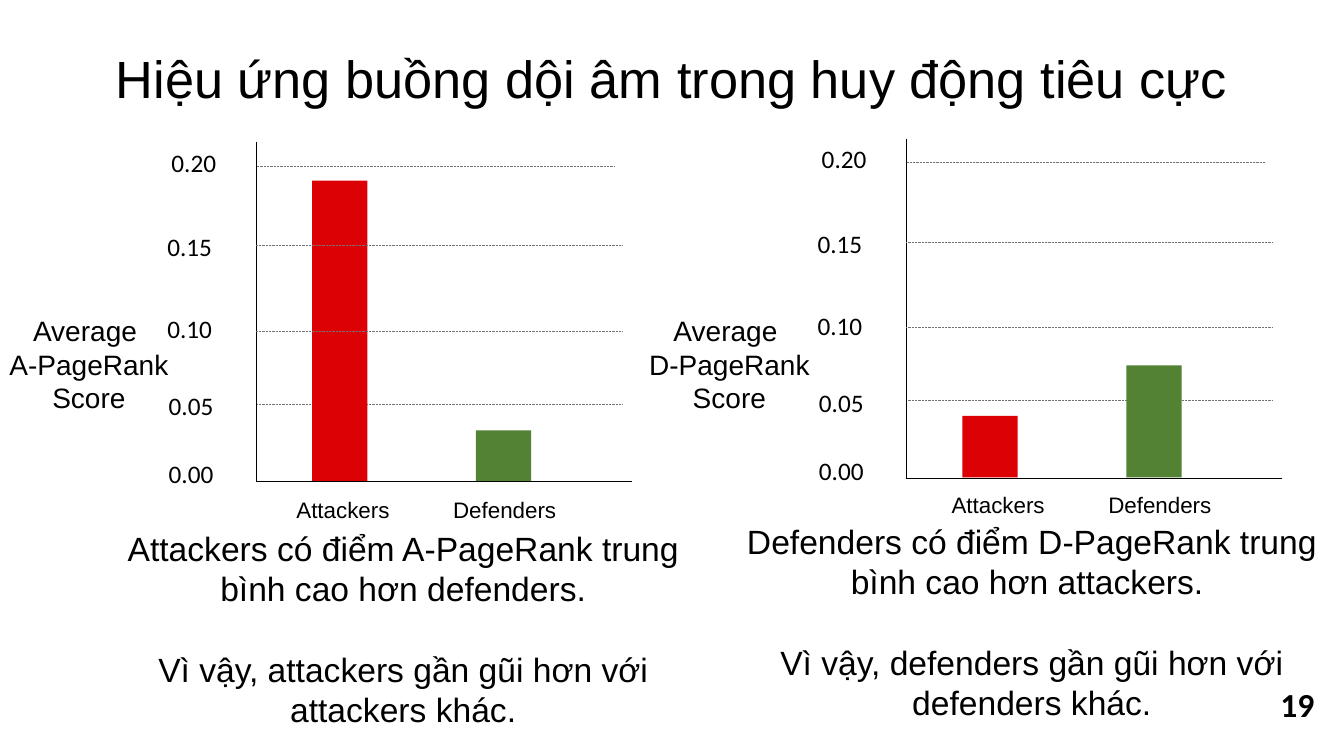
from lxml.etree import SubElement
from pptx import Presentation
from pptx.dml.color import RGBColor as Color
from pptx.enum.dml import MSO_LINE as Dash
from pptx.enum.shapes import MSO_CONNECTOR as Connector, MSO_SHAPE as Shape
from pptx.enum.text import MSO_ANCHOR as Anchor, PP_ALIGN as Align
from pptx.oxml.ns import qn
from pptx.util import Pt

COLORS = {"text": "000000", "grid": "767171", "attackers": "DB0105", "defenders": "548235"}
TITLE = "Hiệu ứng buồng dội âm trong huy động tiêu cực"
PAGE_NUMBER = "19"
GROUPS = ["Attackers", "Defenders"]
PANELS = [
    {
        "origin": (183, 344),
        "bar_heights": (214.5, 36),
        "group_label": (62, 10.5),
        "score": (2, 224, 123, 76),
        "score_lines": ["Average ", "A-PageRank Score"],
        "caption": (82, 377, 412, 146),
        "caption_lines": ["Attackers có điểm A-PageRank trung bình cao hơn defenders.",
                          "Vì vậy, attackers gần gũi hơn với attackers khác."],
    },
    {
        "origin": (647.5, 341.5),
        "bar_heights": (44, 80),
        "group_label": (65.5, 9.5),
        "score": (458.5, 224, 125, 76),
        "score_lines": ["Average ", "D-PageRank Score"],
        "caption": (525.5, 372, 423, 146),
        "caption_lines": ["Defenders có điểm D-PageRank trung bình cao hơn attackers. ",
                          "Vì vậy, defenders gần gũi hơn với defenders khác."],
    },
]
TICK_LABELS = [("0.00", -62.5, -16.5), ("0.05", -62.5, -65), ("0.10", -63.5, -120),
               ("0.15", -63.5, -178.5), ("0.20", -60.5, -239)]
LOW_GRID = [(-55.5, 261.5)]
HIGH_GRID = [(-107.5, 261.5), (-168.5, 261.5), (-225.5, 256)]
AXIS_LENGTHS = {"across": 268.5, "up": 242.5}
BAR_LEFT, BAR_STEP, BAR_WIDTH = 40, 117, 39.5
GROUP_STEP, GROUP_WIDTH = 115.5, 100

TITLE_FONT = {"name": "Arial", "size": Pt(37.4), "bold": False}
SCORE_FONT = {"name": "Arial", "size": Pt(20)}
CAPTION_FONT = {"name": "Arial", "size": Pt(24)}
NUMBER_FONT = {"name": "Calibri", "size": Pt(24), "bold": True}
GROUP_FONT = {"name": "Arial", "size": Pt(16)}
TICK_FONT = {"name": "Calibri", "size": Pt(18)}


def assign(target, values):
    for name, value in values.items():
        setattr(target, name, value)


def fill_text(box, lines, font, align=Align.CENTER, gap=0):
    frame = box.text_frame
    assign(frame, {"word_wrap": True, "margin_left": 0, "margin_right": 0,
                   "margin_top": 0, "margin_bottom": 0})
    for index, line in enumerate(lines):
        para = frame.add_paragraph() if index else frame.paragraphs[0]
        para.alignment = align
        if index and gap:
            para.space_before = Pt(gap)
        span = para.add_run()
        span.text = line
        assign(span.font, font)
        span.font.color.rgb = Color.from_string(COLORS["text"])


def add_text(page, area, *args, **options):
    box = page.shapes.add_textbox(*map(Pt, area))
    fill_text(box, *args, **options)


def add_line(page, ends, color, dash=None):
    connector = page.shapes.add_connector(Connector.STRAIGHT, *map(Pt, ends))
    connector.line.color.rgb = Color.from_string(COLORS[color])
    assign(connector.line, {"width": Pt(0.5), "dash_style": dash})
    SubElement(connector.element.spPr, qn("a:effectLst"))


def add_grid(page, panel, grid):
    left, base = panel["origin"]
    for rise, length in grid:
        add_line(page, (left + length, base + rise, left, base + rise), "grid", Dash.ROUND_DOT)


def add_axes(page, panel):
    left, base = panel["origin"]
    add_line(page, (left, base - AXIS_LENGTHS["up"], left, base), "text")
    add_line(page, (left + AXIS_LENGTHS["across"], base, left, base), "text")


def add_bars(page, panel):
    left, base = panel["origin"]
    for index, (group, height) in enumerate(zip(GROUPS, panel["bar_heights"])):
        area = (left + BAR_LEFT + index * BAR_STEP, base - height - 0.5, BAR_WIDTH, height)
        bar = page.shapes.add_shape(Shape.RECTANGLE, *map(Pt, area))
        bar.shadow.inherit = False
        bar.fill.solid()
        bar.fill.fore_color.rgb = Color.from_string(COLORS[group.lower()])
        bar.line.fill.background()


def add_labels(page, panel):
    left, base = panel["origin"]
    for label, shift, rise in TICK_LABELS:
        add_text(page, (left + shift, base + rise, 45, 22), [label], TICK_FONT, align=Align.LEFT)
    center, drop = panel["group_label"]
    for index, group in enumerate(GROUPS):
        start = left + center + index * GROUP_STEP - GROUP_WIDTH / 2
        add_text(page, (start, base + drop, GROUP_WIDTH, 20), [group], GROUP_FONT)


def add_panel(page, panel):
    add_grid(page, panel, LOW_GRID)
    add_axes(page, panel)
    add_bars(page, panel)
    add_labels(page, panel)
    add_grid(page, panel, HIGH_GRID)
    add_text(page, panel["score"], panel["score_lines"], SCORE_FONT)
    add_text(page, panel["caption"], panel["caption_lines"], CAPTION_FONT, gap=29)


def main():
    deck = Presentation()
    assign(deck, {"slide_width": Pt(960), "slide_height": Pt(540)})
    page = deck.slides.add_slide(deck.slide_layouts[5])
    title = page.shapes.title
    assign(title, {"left": Pt(47.5), "top": Pt(15.5), "width": Pt(865.5), "height": Pt(62)})
    fill_text(title, [TITLE], TITLE_FONT)
    title.text_frame.vertical_anchor = Anchor.BOTTOM
    title.text_frame.paragraphs[0].line_spacing = 0.8
    for panel in PANELS:
        add_panel(page, panel)
    add_text(page, (914.5, 488.5, 28, 30), [PAGE_NUMBER], NUMBER_FONT, align=Align.LEFT)
    deck.save("out.pptx")


if __name__ == "__main__":
    main()
